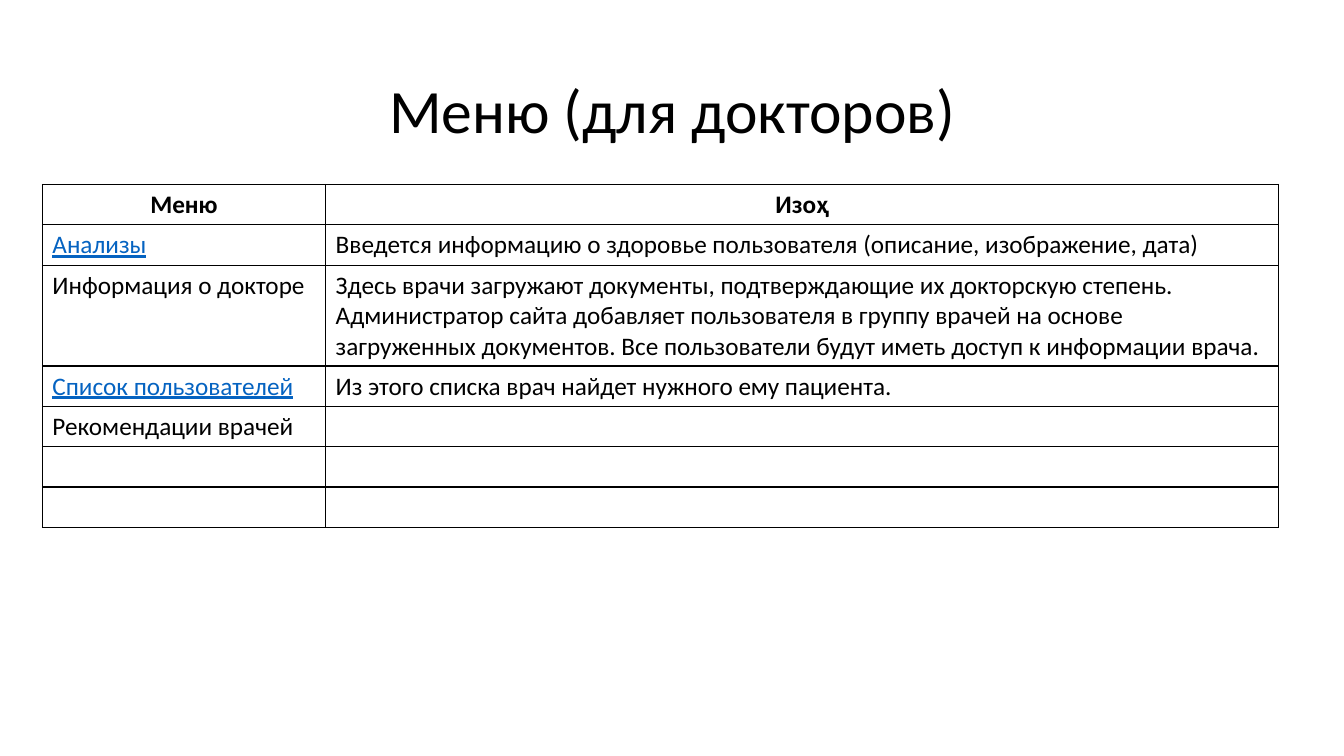
from dataclasses import dataclass

import pptx
import pptx.dml.color
import pptx.enum.text
import pptx.oxml.ns
import pptx.util
from lxml import etree
from pptx.util import Inches

RGB = pptx.dml.color.RGBColor.from_string
CENTER = pptx.enum.text.PP_ALIGN.CENTER
LEFT = pptx.enum.text.PP_ALIGN.LEFT


@dataclass(frozen=True)
class Theme:
    font: str = "Calibri"
    ink: str = "000000"
    link: str = "0563C1"
    paper: str = "FFFFFF"
    title_size: int = 44
    body_size: int = 18
    border_width: int = 1


THEME = Theme()
HEADINGS = ("Меню", "Изоҳ")
MENU = [
    ("Анализы",
     "Введется информацию о здоровье пользователя (описание, изображение, дата)"),
    ("Информация о докторе",
     "Здесь врачи загружают документы, подтверждающие их докторскую степень. "
     "Администратор сайта добавляет пользователя в группу врачей на основе "
     "загруженных документов. Все пользователи будут иметь доступ к информации врача."),
    ("Список пользователей", "Из этого списка врач найдет нужного ему пациента."),
    ("Рекомендации врачей", ""),
    ("", ""),
    ("", ""),
]
LINKED_ITEMS = {"Анализы", "Список пользователей"}
COLUMN_WIDTHS = (2.81, 9.45)
ROW_HEIGHT = 0.34


def write(paragraph, text, size, align=LEFT, bold=False, linked=False):
    paragraph.alignment = align
    font = paragraph.font
    font.name = THEME.font
    font.size = pptx.util.Pt(size)
    font.bold = bold
    font.underline = linked
    font.color.rgb = RGB(THEME.link if linked else THEME.ink)
    if text:
        paragraph.add_run().text = text


def add_title(slide, text):
    title = slide.shapes.add_textbox(Inches(0.92), Inches(0.4), Inches(11.5), Inches(1.45))
    frame = title.text_frame
    frame.word_wrap = True
    frame.vertical_anchor = pptx.enum.text.MSO_ANCHOR.MIDDLE
    heading = frame.paragraphs[0]
    heading.line_spacing = 0.9
    write(heading, text, THEME.title_size, CENTER)


def add_borders(cell):
    properties = cell._tc.get_or_add_tcPr()
    qn = pptx.oxml.ns.qn
    for side in ("L", "R", "T", "B"):
        line = etree.SubElement(properties, qn(f"a:ln{side}"),
                                w=str(pptx.util.Pt(THEME.border_width)))
        fill = etree.SubElement(line, qn("a:solidFill"))
        etree.SubElement(fill, qn("a:srgbClr"), val=THEME.ink)


def add_menu_table(slide, rows):
    table = slide.shapes.add_table(
        len(rows), len(COLUMN_WIDTHS), Inches(0.42), Inches(1.83),
        Inches(sum(COLUMN_WIDTHS)), Inches(ROW_HEIGHT * len(rows))).table
    table.first_row = False
    table.horz_banding = False
    for column, width in zip(table.columns, COLUMN_WIDTHS):
        column.width = Inches(width)
    for row_index, texts in enumerate(rows):
        table.rows[row_index].height = Inches(ROW_HEIGHT)
        is_heading = row_index == 0
        for column_index, text in enumerate(texts):
            cell = table.cell(row_index, column_index)
            add_borders(cell)
            cell.fill.solid()
            cell.fill.fore_color.rgb = RGB(THEME.paper)
            write(cell.text_frame.paragraphs[0], text, THEME.body_size,
                  CENTER if is_heading else LEFT, is_heading, text in LINKED_ITEMS)


def main():
    presentation = pptx.Presentation()
    presentation.slide_width = Inches(13.33)
    presentation.slide_height = Inches(7.5)
    slide = presentation.slides.add_slide(presentation.slide_layouts[6])
    add_title(slide, "Меню (для докторов)")
    add_menu_table(slide, [HEADINGS, *MENU])
    presentation.save("out.pptx")


if __name__ == "__main__":
    main()
